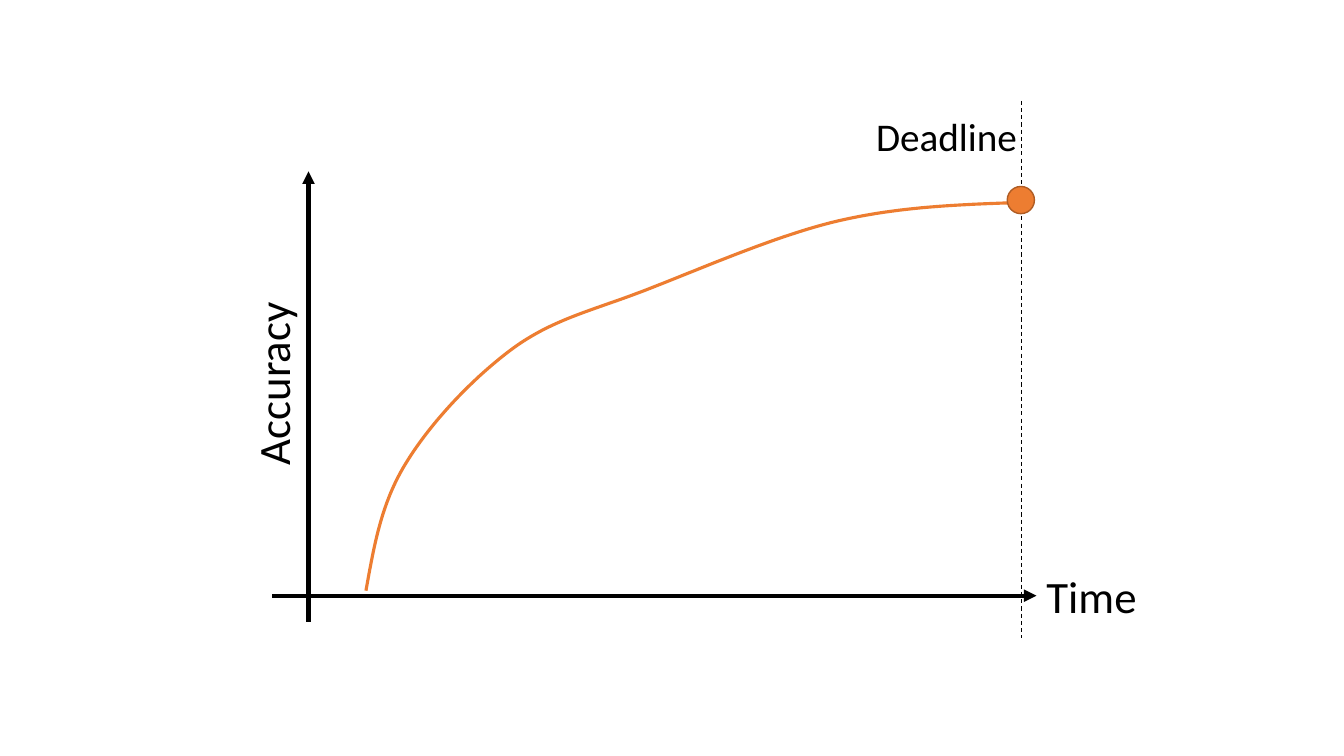
import lxml.etree
import pptx
import pptx.dml.color
import pptx.enum.dml
import pptx.enum.shapes
import pptx.enum.text
import pptx.oxml.ns
import pptx.util

Inches = pptx.util.Inches
Pt = pptx.util.Pt
qn = pptx.oxml.ns.qn

BLACK = pptx.dml.color.RGBColor(0x00, 0x00, 0x00)
ORANGE = pptx.dml.color.RGBColor(0xED, 0x7D, 0x31)
DARK_ORANGE = pptx.dml.color.RGBColor(0xAF, 0x5C, 0x24)

AXIS_Y = 5.91
AXIS_X = 3.06
DEADLINE_X = 10.13
STEPS = 24

# Accuracy curve: start point, then two control points and an end per piece
CURVE_START = (3.63, 5.86)
CURVE = [
    ((3.71, 5.42), (3.78, 4.99), (4.03, 4.59)),
    ((4.28, 4.18), (4.71, 3.73), (5.11, 3.44)),
    ((5.52, 3.15), (5.92, 3.07), (6.45, 2.86)),
    ((6.99, 2.65), (7.72, 2.33), (8.32, 2.19)),
    ((8.93, 2.05), (9.51, 2.03), (10.09, 2.01)),
]


def add_line(s, x1, y1, x2, y2, width, dashed=False, arrow=False):
    line = s.shapes.add_connector(
        pptx.enum.shapes.MSO_CONNECTOR.STRAIGHT,
        Inches(x1), Inches(y1), Inches(x2), Inches(y2))
    line.line.color.rgb = BLACK
    line.line.width = Pt(width)
    if dashed:
        line.line.dash_style = pptx.enum.dml.MSO_LINE.DASH
    if arrow:
        ln = line._element.spPr.find(qn("a:ln"))
        lxml.etree.SubElement(ln, qn("a:tailEnd"), type="triangle")
    lxml.etree.SubElement(line._element.spPr, qn("a:effectLst"))


def add_label(s, text, x, y, w, h, size, rotation=0):
    box = s.shapes.add_textbox(Inches(x), Inches(y), Inches(w), Inches(h))
    box.rotation = rotation
    tf = box.text_frame
    tf.word_wrap = False
    tf.auto_size = pptx.enum.text.MSO_AUTO_SIZE.SHAPE_TO_FIT_TEXT
    p = tf.paragraphs[0]
    p.text = text
    p.font.name = "Calibri"
    p.font.size = Pt(size)
    p.font.color.rgb = BLACK


def bezier_points(start, pieces):
    for c1, c2, end in pieces:
        for i in range(1, STEPS + 1):
            t = i / STEPS
            u = 1 - t
            yield tuple(
                Inches(u**3 * a + 3 * u * u * t * b + 3 * u * t * t * c + t**3 * d)
                for a, b, c, d in zip(start, c1, c2, end))
        start = end


def add_curve(s, start, pieces):
    x, y = start
    builder = s.shapes.build_freeform(Inches(x), Inches(y))
    builder.add_line_segments(bezier_points(start, pieces), close=False)
    curve = builder.convert_to_shape()
    curve.shadow.inherit = False
    curve.fill.background()
    curve.line.color.rgb = ORANGE
    curve.line.width = Pt(2.25)


def add_dot(s, x, y, size):
    dot = s.shapes.add_shape(
        pptx.enum.shapes.MSO_SHAPE.OVAL,
        Inches(x), Inches(y), Inches(size), Inches(size))
    dot.shadow.inherit = False
    dot.fill.solid()
    dot.fill.fore_color.rgb = ORANGE
    dot.line.color.rgb = DARK_ORANGE
    dot.line.width = Pt(1)


def main():
    prs = pptx.Presentation()
    prs.slide_width = Inches(13.33)
    prs.slide_height = Inches(7.5)
    s = prs.slides.add_slide(prs.slide_layouts.get_by_name("Blank"))

    # Deadline marker and axes
    add_line(s, DEADLINE_X, 1, DEADLINE_X, 6.33, 0.75, dashed=True)
    add_line(s, 2.7, AXIS_Y, 10.28, AXIS_Y, 3, arrow=True)
    add_line(s, AXIS_X, 6.17, AXIS_X, 1.7, 3, arrow=True)

    # Axis labels
    add_label(s, "Time", 10.28, 5.59, 1.11, 0.64, 32)
    add_label(s, "Accuracy", 1.79, 3.48, 1.83, 0.64, 32, rotation=270)

    # Accuracy over time, ending at the deadline
    add_curve(s, CURVE_START, CURVE)
    add_dot(s, 9.99, 1.85, 0.27)
    add_label(s, "Deadline", 8.59, 1.07, 1.61, 0.57, 28)

    prs.save("out.pptx")


if __name__ == "__main__":
    main()
